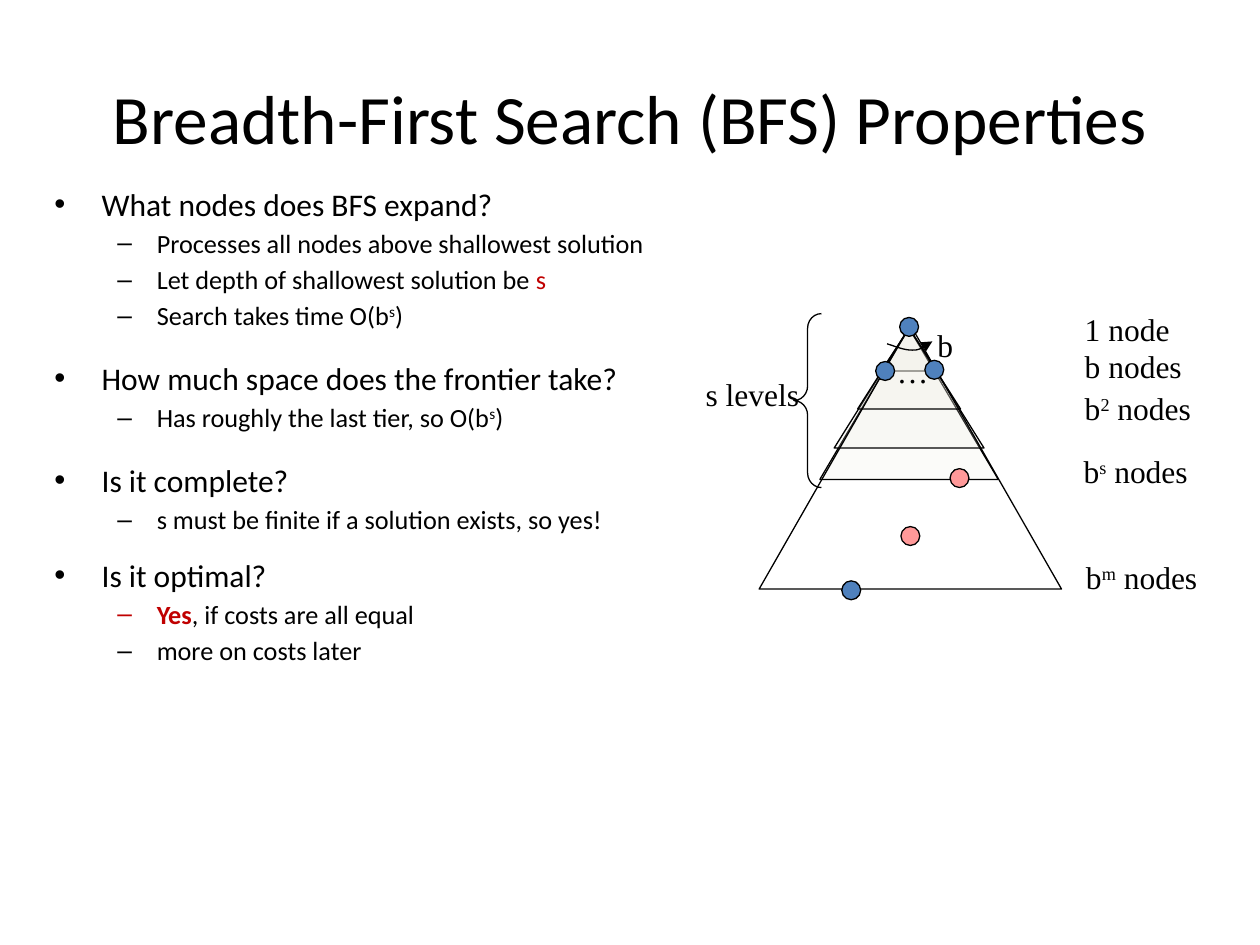
from lxml.etree import SubElement as Sub
from pptx import Presentation
from pptx.dml.color import RGBColor as RGB
from pptx.enum.shapes import MSO_SHAPE as SHAPE
from pptx.enum.text import MSO_ANCHOR as ANCHOR, PP_ALIGN as ALIGN
from pptx.oxml.ns import qn
from pptx.util import Pt

BLACK = RGB(0, 0, 0)
RED = RGB(0xC0, 0, 0)
CREAM = RGB(0xEE, 0xEC, 0xE1)
BLUE = RGB(0x4F, 0x81, 0xBD)
PINK = RGB(0xFF, 0x99, 0x99)
SANS, SERIF = "Calibri", "Times New Roman"

HEAD = dict(size=18, left=27, hang=27, mark="•")
ITEM = dict(size=15, left=58.5, hang=22.5, mark="–")
SMALL_GAP, MID_GAP, BIG_GAP = 2.7, 11.9, 15.9
# Each topic: space above, heading, items; an item is a list of (text, format)
TOPICS = [
    (0, "What nodes does BFS expand?", [
        [("Processes all nodes above shallowest solution", {})],
        [("Let depth of shallowest solution be ", {}), ("s", dict(color=RED))],
        [("Search takes time O(b^s^)", {})]]),
    (BIG_GAP, "How much space does the frontier take?", [
        [("Has roughly the last tier, so O(b^s^)", {})]]),
    (BIG_GAP, "Is it complete?", [
        [("s must be finite if a solution exists, so yes!", {})]]),
    (MID_GAP, "Is it optimal?", [
        [("Yes", dict(color=RED, bold=True)),
         (", if costs are all equal", {})],
        [("more on costs later", {})]]),
]

# Half width and height of each tier below the apex
TIERS = [(16, 24.5), (51, 86.4), (42.8, 68.4), (29.4, 46.1)]
DOTS = [(115.9, 7.2, BLUE), (102.2, 32.4, BLUE), (130.3, 31.7, BLUE),
        (82.8, 157.7, BLUE), (144.7, 93.6, PINK), (116.6, 126.7, PINK)]
LABELS = [("…", 109.4, 23.8), ("b", 132.5, 9.4), ("s levels", 0, 37.4),
          ("1 node", 216.7, 0), ("b nodes", 216.7, 20.9),
          ("b^2^ nodes", 216.7, 45.4), ("b^s^ nodes", 216, 81.4),
          ("b^m^ nodes", 217.4, 141.8)]
SWEEP = [(108.7, 22.3), (113.8, 23.8), (118.1, 25.9), (123.1, 25.9),
         (127.4, 25.9), (131, 23), (134.6, 20.9)]


def write(para, text, size=18, font=SANS, color=BLACK, bold=False):
    """Add text to a paragraph; parts between ^ marks are superscript."""
    for i, part in enumerate(text.split("^")):
        if not part:
            continue
        run = para.add_run()
        run.text = part
        run.font.size, run.font.name = Pt(size), font
        run.font.color.rgb, run.font.bold = color, bold
        if i % 2:
            run.font._element.set("baseline", "30000")


def frame(slide, x, y, w, h, wrap=True, pad=(7.2, 3.6)):
    box = slide.shapes.add_textbox(Pt(x), Pt(y), Pt(w), Pt(h)).text_frame
    box.word_wrap = wrap
    box.margin_left = box.margin_right = Pt(pad[0])
    box.margin_top = box.margin_bottom = Pt(pad[1])
    return box


def bullet(para, left, hang, mark):
    props = para._p.get_or_add_pPr()
    props.set("marL", str(Pt(left)))
    props.set("indent", str(-Pt(hang)))
    Sub(props, qn("a:buFont"), typeface="Arial")
    Sub(props, qn("a:buChar"), char=mark)


def style(shape, fill=None, alpha=None):
    shape.shadow.inherit = False
    shape.line.color.rgb, shape.line.width = BLACK, Pt(0.75)
    if fill is None:
        shape.fill.background()
        return
    shape.fill.solid()
    shape.fill.fore_color.rgb = fill
    if alpha:
        tint = shape._element.spPr.find(qn("a:solidFill"))[0]
        Sub(tint, qn("a:alpha"), val=str(alpha * 1000))


def outline(slide, x, y, points, close=True):
    spots = [(Pt(x + px), Pt(y + py)) for px, py in points]
    pen = slide.shapes.build_freeform(*spots[0])
    pen.add_line_segments(spots[1:], close=close)
    return pen.convert_to_shape()


def cone(slide, x, y, half, drop, **look):
    """Draw a triangle with its apex at x, y."""
    style(outline(slide, x, y, [(0, 0), (-half, drop), (half, drop)]), **look)


def arc(slide, x, y, points):
    """Draw a chain of cubic curves ending in an arrowhead."""
    shape = outline(slide, x, y, points, close=False)
    style(shape)
    lines = list(shape._element.iter(qn("a:lnTo")))
    track = lines[0].getparent()
    for i in range(0, len(lines), 3):
        curve = Sub(track, qn("a:cubicBezTo"))
        for line in lines[i:i + 3]:
            curve.append(line[0])
            track.remove(line)
    Sub(shape.line._get_or_add_ln(), qn("a:tailEnd"), type="triangle")


def title(slide, x, y, w, h):
    box = frame(slide, x, y, w, h)
    box.vertical_anchor = ANCHOR.MIDDLE
    para = box.paragraphs[0]
    para.alignment = ALIGN.CENTER
    write(para, "Breadth-First Search (BFS) Properties", size=39.6)


def topics(slide, x, y, w, h):
    box = frame(slide, x, y, w, h)
    rows = []
    for gap, head, items in TOPICS:
        rows.append((gap, HEAD, [(head, {})]))
        rows += [(SMALL_GAP, ITEM, item) for item in items]
    for i, (gap, kind, parts) in enumerate(rows):
        para = box.add_paragraph() if i else box.paragraphs[0]
        para.space_before = Pt(gap)
        bullet(para, kind["left"], kind["hang"], kind["mark"])
        for text, look in parts:
            write(para, text, size=kind["size"], **look)


def tree(slide, x, y):
    """Draw the search tree with its levels, nodes and labels."""
    for half, drop in TIERS:
        cone(slide, x + 121.3, y + 13.4, half, drop, fill=CREAM, alpha=20)
    cone(slide, x + 122, y + 11.4, 86.4, 151)
    for dx, dy, color in DOTS:
        dot = slide.shapes.add_shape(SHAPE.OVAL, Pt(x + dx), Pt(y + dy),
                                     Pt(10.8), Pt(10.8))
        style(dot, fill=color)
    arc(slide, x, y, SWEEP)
    brace = slide.shapes.add_shape(SHAPE.LEFT_BRACE, Pt(x + 55.4), Pt(y + 5),
                                   Pt(15.8), Pt(99.4))
    brace.adjustments[0] = 0.53
    style(brace)
    for text, dx, dy in LABELS:
        wide = 86 if len(text) > 1 else 17
        box = frame(slide, x + dx, y + dy, wide, 27.4, wrap=False,
                    pad=(5, 2.9))
        write(box.paragraphs[0], text, font=SERIF)


def main():
    deck = Presentation()
    deck.slide_width, deck.slide_height = Pt(720), Pt(540)
    slide = deck.slides.add_slide(deck.slide_layouts[6])
    title(slide, 36, 21.6, 648, 90)
    topics(slide, 24, 102, 354, 384)
    tree(slide, 398.2, 174.2)
    deck.save("out.pptx")


if __name__ == "__main__":
    main()
